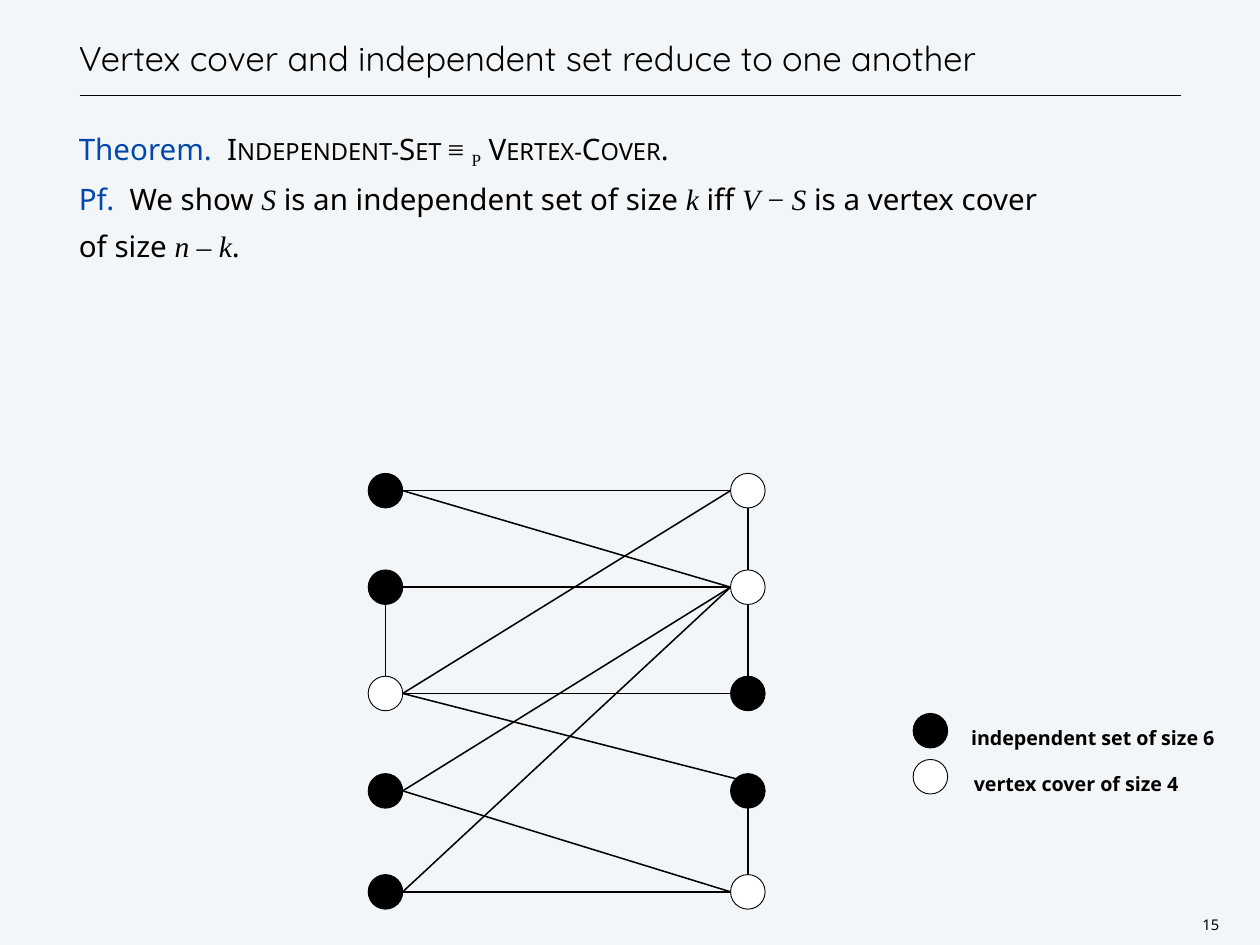
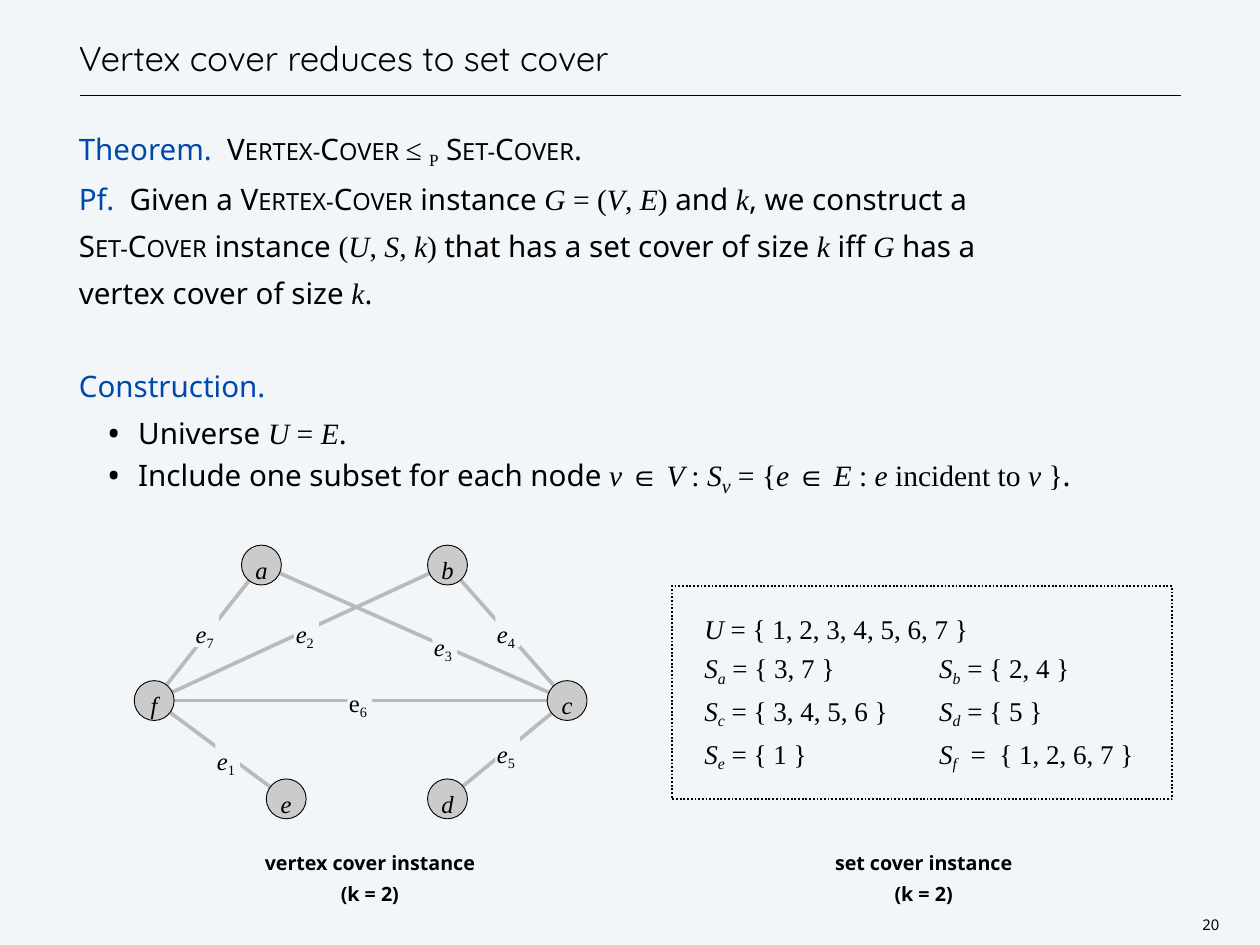
import math

import pptx
import pptx.dml.color
import pptx.enum.dml
import pptx.enum.shapes
import pptx.enum.text
import pptx.oxml.ns
import pptx.util
from lxml import etree

Inches = pptx.util.Inches
Pt = pptx.util.Pt
RGBColor = pptx.dml.color.RGBColor
Anchor = pptx.enum.text.MSO_ANCHOR
Align = pptx.enum.text.PP_ALIGN
Shape = pptx.enum.shapes.MSO_SHAPE
qn = pptx.oxml.ns.qn

PAPER = RGBColor(0xF2, 0xF6, 0xF9)
BLACK = RGBColor(0x00, 0x00, 0x00)
WHITE = RGBColor(0xFF, 0xFF, 0xFF)
BLUE = RGBColor(0x00, 0x48, 0xAA)
NODE_GREY = RGBColor(0xCB, 0xCB, 0xCB)
EDGE_GREY = RGBColor(0xBA, 0xBA, 0xBA)

SANS, SERIF, DISPLAY = "Noto Sans", "Times New Roman", "Quicksand"
LEADING = Pt(38)
SUB = {"baseline": "-20000"}

STYLES = {
    "title": (DISPLAY, BLACK, {}),
    "head": (SANS, BLUE, {}),
    "text": (SANS, BLACK, {}),
    "bold": (SANS, BLACK, {"b": "1"}),
    "caps": (SANS, BLACK, {"cap": "small"}),
    "math": (SERIF, BLACK, {}),
    "var": (SERIF, BLACK, {"i": "1"}),
    "sub": (SERIF, BLACK, SUB),
    "varsub": (SERIF, BLACK, {"i": "1", **SUB}),
    "bigsub": (SERIF, BLACK, {"i": "1", "sz": "2800", **SUB}),
}


def add_run(p, style, text, size):
    font, color, attrs = STYLES[style]
    for i, line in enumerate(text.split("\n")):
        if i:
            p.add_line_break()
        if not line:
            continue
        r = p.add_run()
        r.text = line
        r.font.name = font
        r.font.size = Pt(size)
        r.font.color.rgb = color
        for name, value in attrs.items():
            r.font._element.set(name, value)


def write(tf, paragraphs, size, spacing, align=Align.LEFT):
    for i, runs in enumerate(paragraphs):
        p = tf.add_paragraph() if i else tf.paragraphs[0]
        p.alignment = align
        p.line_spacing = spacing
        for style, text in runs:
            add_run(p, style, text, size)


def set_frame(tf, anchor=Anchor.TOP, inset=0, wrap=True):
    tf.word_wrap = wrap
    tf.vertical_anchor = anchor
    tf.margin_left = tf.margin_right = Inches(inset)
    tf.margin_top = tf.margin_bottom = Inches(inset)


def add_text(s, at, paragraphs, size, spacing, align=Align.LEFT, **frame):
    sp = s.shapes.add_textbox(*map(Inches, at))
    set_frame(sp.text_frame, **frame)
    write(sp.text_frame, paragraphs, size, spacing, align)
    return sp


def add_line(s, start, end, color, width):
    cx = s.shapes.add_connector(
        pptx.enum.shapes.MSO_CONNECTOR.STRAIGHT, *map(Inches, start + end))
    cx.line.color.rgb = color
    cx.line.width = Pt(width)
    etree.SubElement(cx._element.spPr, qn("a:effectLst"))


def add_centred(s, kind, center, width, height, fill):
    x, y = center
    sp = s.shapes.add_shape(kind, Inches(x - width / 2), Inches(y - height / 2),
                            Inches(width), Inches(height))
    sp.shadow.inherit = False
    sp.fill.solid()
    sp.fill.fore_color.rgb = fill
    sp.line.fill.background()
    return sp


def add_node(s, center, diameter, fill):
    sp = add_centred(s, Shape.OVAL, center, diameter, diameter, fill)
    sp.line.color.rgb = BLACK
    sp.line.width = Pt(0.75)
    return sp


def write_label(sp, runs):
    set_frame(sp.text_frame, Anchor.MIDDLE, wrap=False)
    write(sp.text_frame, [runs], 20, 1.3, Align.CENTER)


def add_bullet(p):
    pPr = p._p.get_or_add_pPr()
    pPr.set("marL", str(Inches(0.67)))
    pPr.set("indent", str(Inches(-0.35)))
    etree.SubElement(pPr, qn("a:buSzPct")).set("val", "120000")
    etree.SubElement(pPr, qn("a:buFont")).set("typeface", SANS)
    etree.SubElement(pPr, qn("a:buChar")).set("char", "•")


def add_tab(p, position):
    tabs = etree.SubElement(p._p.get_or_add_pPr(), qn("a:tabLst"))
    tab = etree.SubElement(tabs, qn("a:tab"))
    tab.set("pos", str(Inches(position)))
    tab.set("algn", "l")


def add_slide(prs, title, number, body):
    s = prs.slides.add_slide(prs.slide_layouts[6])
    s.background.fill.solid()
    s.background.fill.fore_color.rgb = PAPER
    add_line(s, (0.9, 1.08), (13.33, 1.08), BLACK, 1)
    add_text(s, (0.89, 0, 12.44, 0.89), [[("title", title)]], 28, LEADING,
             anchor=Anchor.BOTTOM)
    sp = add_text(s, (0.89, 1.39, 12.44, 8.94), body, 24, LEADING)
    add_text(s, (13.51, 10.3, 0.31, 0.24), [[("text", str(number))]], 12, Pt(14),
             Align.CENTER, inset=0.04, wrap=False)
    return s, sp.text_frame


def add_cover_graph(s):
    columns = (4.35, 8.44)
    rows = (5.54, 6.63, 7.83, 8.93, 10.07)
    diameter = 0.39
    cover = {(0, 2), (1, 0), (1, 1), (1, 4)}

    def rim(column, row, degrees):
        angle = math.radians(degrees)
        return (columns[column] + diameter / 2 * math.cos(angle),
                rows[row] - diameter / 2 * math.sin(angle))

    for left, right in ((0, 0), (0, 1), (1, 1), (2, 0), (2, 2), (2, 3),
                        (3, 1), (3, 4), (4, 1), (4, 4)):
        arrival = 135 if (left, right) == (2, 3) else 180
        add_line(s, rim(0, left, 0), rim(1, right, arrival), BLACK, 1.25)
    for column, upper in ((0, 1), (1, 0), (1, 1), (1, 3)):
        add_line(s, rim(column, upper, 270), rim(column, upper + 1, 90), BLACK, 1.25)
    for column, x in enumerate(columns):
        for row, y in enumerate(rows):
            fill = WHITE if (column, row) in cover else BLACK
            add_node(s, (x, y), diameter, fill)

    for fill, x, y, label in ((BLACK, 10.96, 8.12, "independent set of size 6"),
                              (WHITE, 10.99, 8.64, "vertex cover of size 4")):
        add_node(s, (10.5, y + 0.13), diameter, fill)
        add_text(s, (x, y, 2.93, 0.25), [[("bold", label)]], 16, 1.3)


def add_instance_graph(s):
    nodes = {"a": (2.95, 6.38), "b": (5.05, 6.38), "c": (6.4, 7.91),
             "d": (5.05, 9.02), "e": (3.23, 9.02), "f": (1.74, 7.91)}
    edges = (("f", "e", "1", (2.57, 8.55)), ("f", "b", "2", (3.46, 7.12)),
             ("a", "c", "3", (5.02, 7.26)), ("b", "c", "4", (5.73, 7.12)),
             ("c", "d", "5", (5.73, 8.47)), ("f", "c", "6", (4.06, 7.9)),
             ("f", "a", "7", (2.33, 7.12)))
    for start, end, _, _ in edges:
        add_line(s, nodes[start], nodes[end], EDGE_GREY, 3)
    for _, _, index, center in edges:
        sp = add_centred(s, Shape.RECTANGLE, center, 0.28, 0.37, PAPER)
        style = "math" if index == "6" else "var"
        write_label(sp, [(style, "e"), ("sub", index + " ")])
    for name, center in nodes.items():
        write_label(add_node(s, center, 0.45, NODE_GREY), [("var", name)])


def subset(name, members, equals=" = "):
    return [("var", "S"), ("varsub", name), ("math", f"{equals}{{ {members} }}")]


def add_set_box(s):
    gap = [("math", "\t")]
    rows = [
        [("var", "U"), ("math", " = { 1, 2, 3, 4, 5, 6, 7 }")],
        subset("a", "3, 7") + gap + subset("b", "2, 4"),
        subset("c", "3, 4, 5, 6") + gap + subset("d", "5"),
        subset("e", "1") + gap + subset("f", "1, 2, 6, 7", "  =  "),
    ]
    sp = add_text(s, (7.58, 6.62, 5.65, 2.4), rows, 22, 1.2, inset=0.22)
    sp.text_frame.margin_left = Inches(0.37)
    sp.line.color.rgb = BLACK
    sp.line.width = Pt(1.5)
    sp.line.dash_style = pptx.enum.dml.MSO_LINE.ROUND_DOT
    for p in sp.text_frame.paragraphs[1:]:
        add_tab(p, 2.65)


def add_independent_set_slide(prs):
    body = [
        [("head", "Theorem.  "), ("caps", "Independent-Set "), ("math", "≡ "),
         ("sub", "P"), ("math", " "), ("caps", "Vertex-Cover"), ("text", ".")],
        [("head", "Pf.  "), ("text", "We show "), ("var", "S"),
         ("text", " is an independent set of size "), ("var", "k"),
         ("text", " iff "), ("var", "V"), ("math", " − "), ("var", "S"),
         ("text", " is a vertex cover\nof size "), ("var", "n"), ("math", " – "),
         ("var", "k"), ("text", ".")],
    ]
    s, _ = add_slide(prs, "Vertex cover and independent set reduce to one another",
                     15, body)
    add_cover_graph(s)


def add_set_cover_slide(prs):
    body = [
        [("head", "Theorem.  "), ("caps", "Vertex-Cover "), ("math", "≤ "),
         ("sub", "P"), ("math", " "), ("caps", "Set-Cover"), ("text", ".")],
        [("head", "Pf.  "), ("text", "Given a "), ("caps", "Vertex-Cover"),
         ("text", " instance "), ("var", "G"), ("math", " = ("), ("var", "V"),
         ("math", ", "), ("var", "E"), ("math", ")"), ("text", " and "),
         ("var", "k"), ("text", ", we construct a\n"), ("caps", "Set-Cover"),
         ("text", " instance "), ("math", "("), ("var", "U"), ("math", ", "),
         ("var", "S"), ("math", ", "), ("var", "k"), ("math", ") "),
         ("text", "that has a set cover of size "), ("var", "k"),
         ("text", " iff "), ("var", "G "),
         ("text", "has a\nvertex cover of size "), ("var", "k"), ("text", ".")],
        [("head", "Construction.")],
        [("text", "Universe "), ("var", "U"), ("math", " = "), ("var", "E"),
         ("text", ".")],
        [("text", "Include one subset for each node "), ("var", "v"),
         ("math", " ∈ "), ("var", "V "), ("math", ": "), ("var", "S"),
         ("bigsub", "v"), ("math", " = {"), ("var", "e"), ("math", " ∈ "),
         ("var", "E"), ("math", " : "), ("var", "e"), ("math", " incident to "),
         ("var", "v"), ("math", " }"), ("text", ".")],
    ]
    s, tf = add_slide(prs, "Vertex cover reduces to set cover", 20, body)
    tf.paragraphs[2].space_before = LEADING
    for p in tf.paragraphs[3:]:
        add_bullet(p)
    add_instance_graph(s)
    add_set_box(s)
    for x, name in ((2.86, "vertex cover instance"), (9.11, "set cover instance")):
        add_text(s, (x, 9.53, 2.63, 0.58), [[("bold", name)], [("bold", "(k = 2)")]],
                 16, 1.3, Align.CENTER)


def main():
    prs = pptx.Presentation()
    prs.slide_width = Inches(14.22)
    prs.slide_height = Inches(10.67)
    add_independent_set_slide(prs)
    add_set_cover_slide(prs)
    prs.save("out.pptx")


if __name__ == "__main__":
    main()
